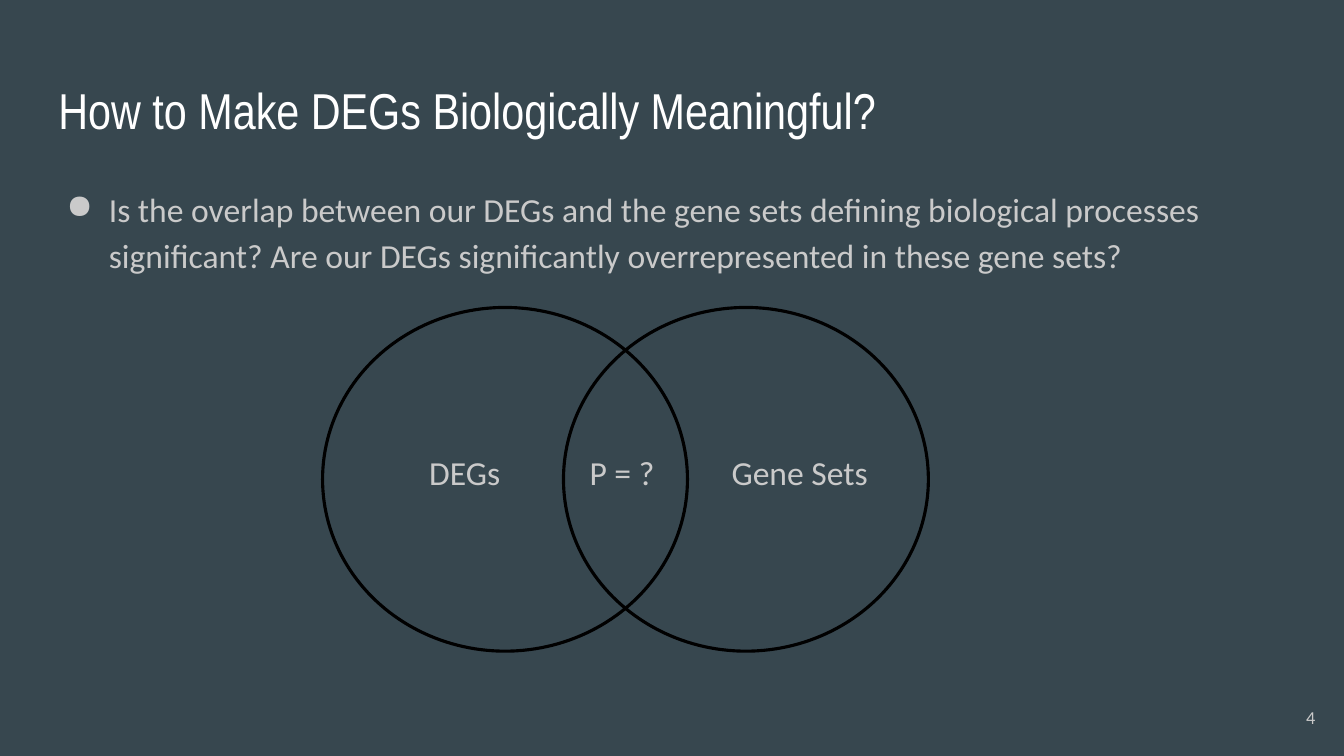
from dataclasses import dataclass

from lxml import etree
from pptx import Presentation
from pptx.dml.color import RGBColor
from pptx.enum.shapes import MSO_SHAPE
from pptx.enum.text import MSO_ANCHOR, PP_ALIGN
from pptx.oxml.ns import qn
from pptx.slide import Slide
from pptx.util import Inches, Pt

SLATE = RGBColor(0x37, 0x47, 0x4F)
WHITE = RGBColor(0xFF, 0xFF, 0xFF)
SILVER = RGBColor(0xCA, 0xCA, 0xCA)
BLACK = RGBColor(0x00, 0x00, 0x00)

ELLIPSE = MSO_SHAPE.OVAL
TOP, MIDDLE = MSO_ANCHOR.TOP, MSO_ANCHOR.MIDDLE
LEFT, RIGHT = PP_ALIGN.LEFT, PP_ALIGN.RIGHT

COLUMNS, ROWS = 160, 90
SLIDE_WIDTH, SLIDE_HEIGHT = Inches(40 / 3), Inches(7.5)
BLANK_LAYOUT = 6

MARGIN, CONTENT_WIDTH = 5.4, 149
CIRCLE_TOP, CIRCLE_WIDTH, CIRCLE_HEIGHT = 36.6, 43.44, 40.92
CIRCLE_LEFTS = (38.4, 67.08)
LABEL_TOP, LABEL_HEIGHT, LABEL_INSET = 52.56, 6.84, 0.1


@dataclass(frozen=True)
class Area:
    """A place on the slide, in grid columns and rows."""
    column: float
    row: float
    width: float
    height: float

    def lengths(self) -> tuple[int, int, int, int]:
        across, down = SLIDE_WIDTH / COLUMNS, SLIDE_HEIGHT / ROWS
        return (round(self.column * across), round(self.row * down),
                round(self.width * across), round(self.height * down))


@dataclass(frozen=True)
class TextItem:
    text: str
    area: Area
    size: float = 24
    font: str = "Calibri"
    color: RGBColor = SILVER
    inset: float = 0.13
    anchor: MSO_ANCHOR = TOP
    align: PP_ALIGN = LEFT
    bulleted: bool = False


def label(text: str, column: float, width: float) -> TextItem:
    return TextItem(text, Area(column, LABEL_TOP, width, LABEL_HEIGHT), inset=LABEL_INSET)


TEXTS = (
    TextItem("How to Make DEGs Biologically Meaningful?",
             Area(MARGIN, 7.8, CONTENT_WIDTH, 10), 36, "Arial Narrow", WHITE),
    TextItem("Is the overlap between our DEGs and the gene sets defining biological processes "
             "significant? Are our DEGs significantly overrepresented in these gene sets?",
             Area(MARGIN, 20.16, CONTENT_WIDTH, 14.76), bulleted=True),
    TextItem("4", Area(148.56, 81.96, 9.6, 6.84), 13, anchor=MIDDLE, align=RIGHT),
    label("DEGs", 49.92, 14.76),
    label("Gene Sets", 85.92, 19.2),
    label("P = ?", 69, 10.56),
)


def add_bullet(para) -> None:
    properties = para._p.get_or_add_pPr()
    properties.set("marL", str(Inches(0.5)))
    properties.set("indent", str(Inches(-0.42)))
    color = etree.SubElement(properties, qn("a:buClr"))
    etree.SubElement(color, qn("a:srgbClr"), val=str(SILVER))
    etree.SubElement(properties, qn("a:buChar"), char="●")
    para.line_spacing = 1.15


def add_text(slide: Slide, item: TextItem) -> None:
    frame = slide.shapes.add_textbox(*item.area.lengths()).text_frame
    frame.word_wrap = True
    frame.vertical_anchor = item.anchor
    frame.margin_left = frame.margin_right = Inches(item.inset)
    frame.margin_top = frame.margin_bottom = Inches(item.inset)
    frame.text = item.text
    para = frame.paragraphs[0]
    para.alignment = item.align
    if item.bulleted:
        add_bullet(para)
    font = para.runs[0].font
    font.name, font.size = item.font, Pt(item.size)
    font.color.rgb = item.color


def add_circle(slide: Slide, column: float) -> None:
    area = Area(column, CIRCLE_TOP, CIRCLE_WIDTH, CIRCLE_HEIGHT)
    circle = slide.shapes.add_shape(ELLIPSE, *area.lengths())
    circle.shadow.inherit = False
    circle.fill.background()
    circle.line.color.rgb = BLACK
    circle.line.width = Pt(2.25)


def main() -> None:
    deck = Presentation()
    deck.slide_width, deck.slide_height = SLIDE_WIDTH, SLIDE_HEIGHT
    slide = deck.slides.add_slide(deck.slide_layouts[BLANK_LAYOUT])
    background = slide.background.fill
    background.solid()
    background.fore_color.rgb = SLATE
    for column in CIRCLE_LEFTS:
        add_circle(slide, column)
    for item in TEXTS:
        add_text(slide, item)
    deck.save("out.pptx")


if __name__ == "__main__":
    main()
